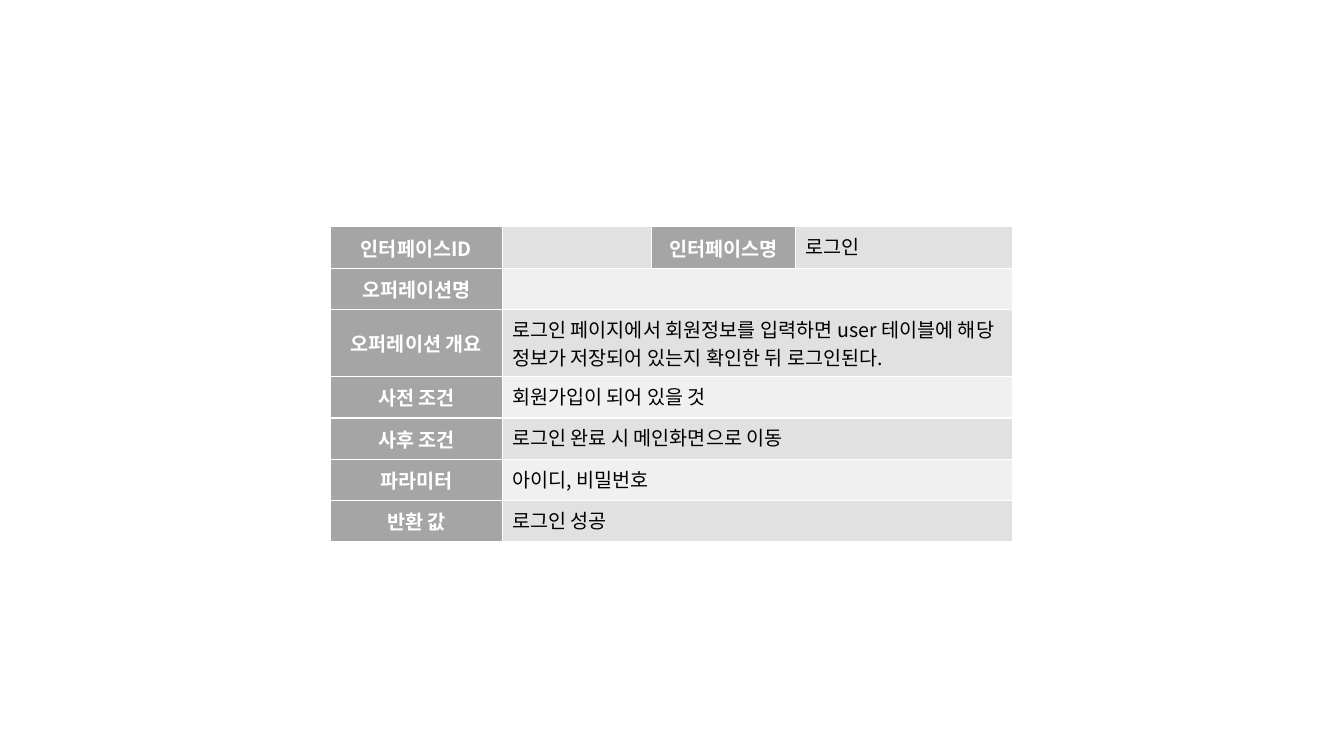
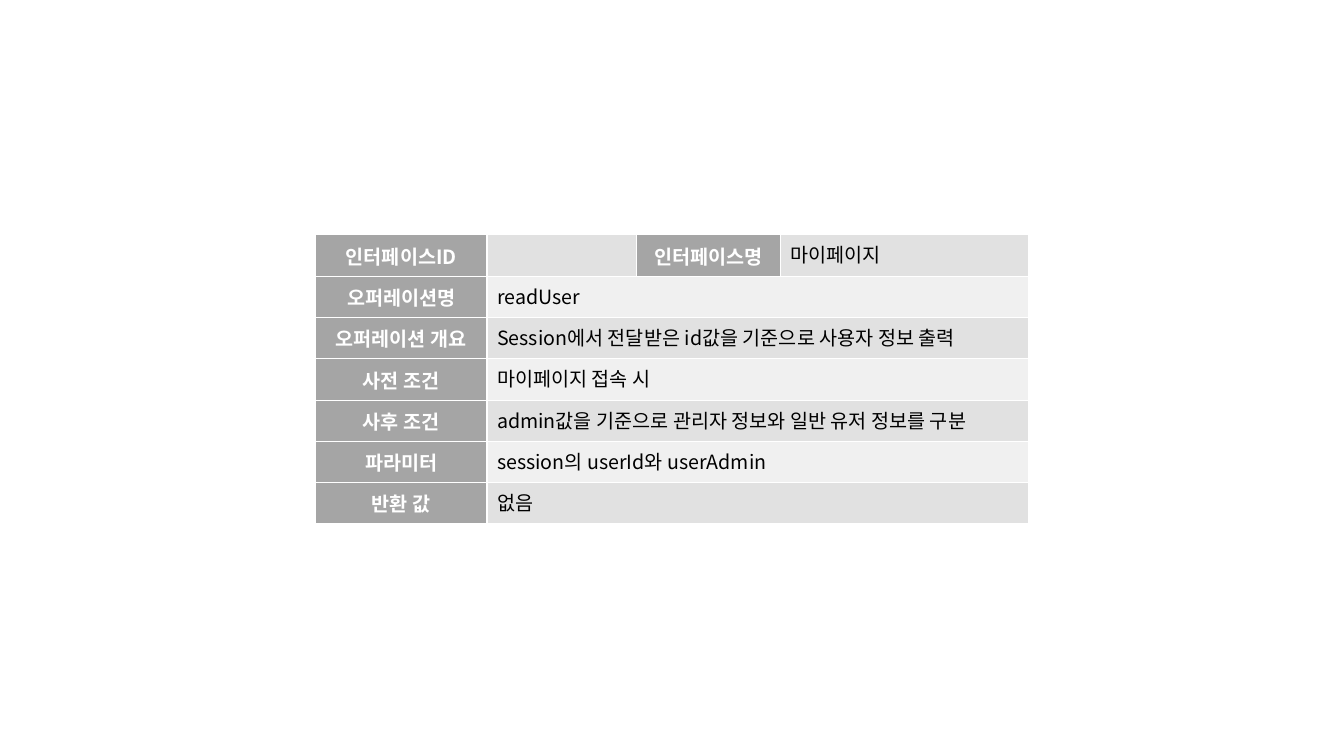
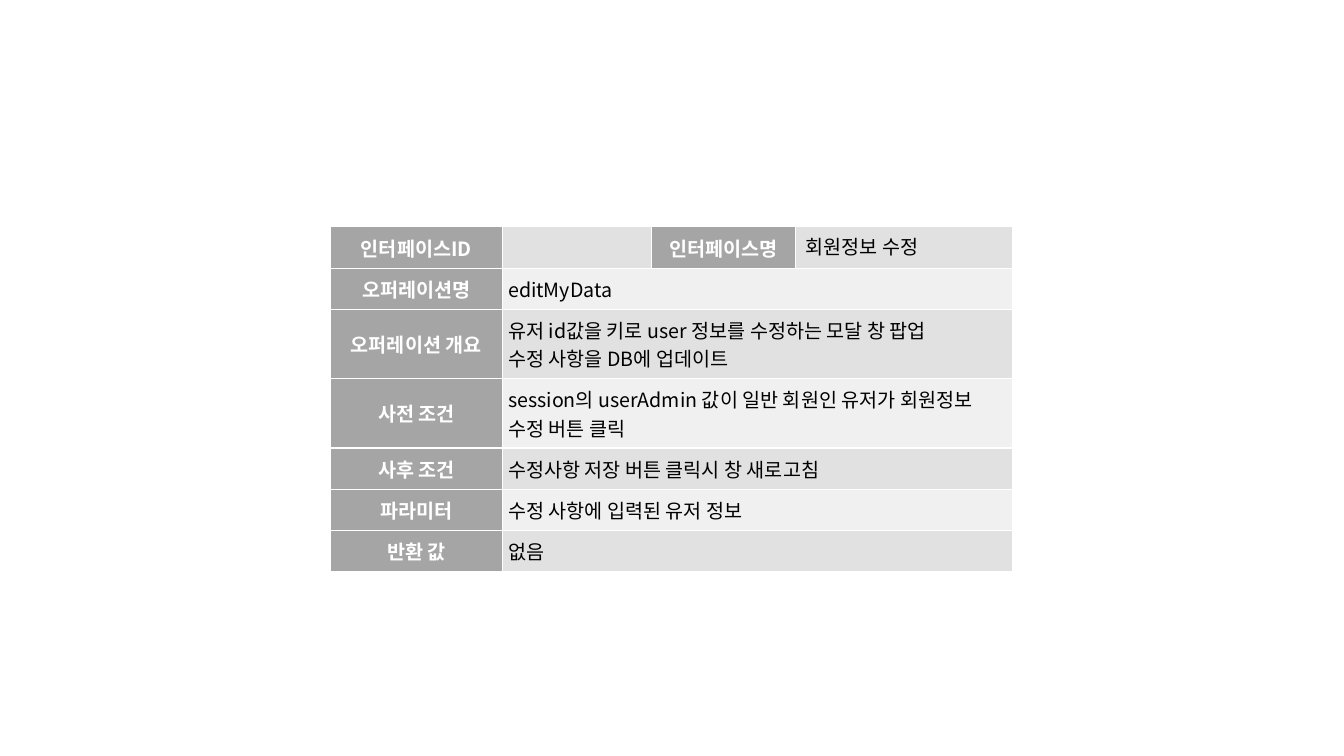
import dataclasses
import typing

import pptx
import pptx.dml.color
import pptx.enum.text
import pptx.oxml
import pptx.oxml.ns
import pptx.table
import pptx.util

Inches = pptx.util.Inches
Pt = pptx.util.Pt

COLOURS: dict[str, str] = {
    "label": "A5A5A5",
    "odd": "E1E1E1",
    "even": "F0F0F0",
    "border": "FFFFFF",
    "label_text": "FFFFFF",
    "text": "000000",
}
FONT = "Noto Sans CJK KR"
TEXT_SIZE = Pt(14)
ROW_HEIGHT = Inches(0.41)
FIRST_COLUMNS = (1.7, 1.48, 1.43)
ID_LABEL = "인터페이스ID"
NAME_LABEL = "인터페이스명"
ROW_LABELS = ("오퍼레이션명", "오퍼레이션 개요", "사전 조건", "사후 조건", "파라미터", "반환 값")


@dataclasses.dataclass(frozen=True)
class Specification:
    """One interface table: its place, name and the values of its rows."""

    left: float
    top: float
    last_column: float
    name: str
    values: tuple[str, ...]
    tight: bool = False  # values centred vertically with narrow margins


SPECIFICATIONS = (
    Specification(3.28, 2.25, 2.15, "로그인", (
        "",
        "로그인 페이지에서 회원정보를 입력하면 user 테이블에 해당 정보가 저장되어 있는지 확인한 뒤 로그인된다.",
        "회원가입이 되어 있을 것",
        "로그인 완료 시 메인화면으로 이동",
        "아이디, 비밀번호",
        "로그인 성공",
    )),
    Specification(3.13, 2.33, 2.46, "마이페이지", (
        "readUser",
        "Session에서 전달받은 id값을 기준으로 사용자 정보 출력",
        "마이페이지 접속 시",
        "admin값을 기준으로 관리자 정보와 일반 유저 정보를 구분",
        "session의 userId와 userAdmin",
        "없음",
    )),
    Specification(3.28, 2.25, 2.15, "회원정보 수정", (
        "editMyData",
        "유저 id값을 키로 user 정보를 수정하는 모달 창 팝업\n수정 사항을 DB에 업데이트",
        "session의 userAdmin 값이 일반 회원인 유저가 회원정보 수정 버튼 클릭",
        "수정사항 저장 버튼 클릭시 창 새로고침",
        "수정 사항에 입력된 유저 정보",
        "없음",
    ), tight=True),
)


def add_child(parent: typing.Any, tag: str, **attributes: str) -> typing.Any:
    child = parent.makeelement(pptx.oxml.ns.qn(tag), attributes)
    parent.append(child)
    return child


def style_cell(cell: pptx.table._Cell, fill: str) -> None:
    """Give a cell its white borders and its fill."""
    properties = cell._tc.get_or_add_tcPr()
    for side in ("a:lnL", "a:lnR", "a:lnT", "a:lnB"):
        line = add_child(properties, side, w=str(Pt(1)))
        add_child(add_child(line, "a:solidFill"), "a:srgbClr", val=COLOURS["border"])
    cell.fill.solid()
    cell.fill.fore_color.rgb = pptx.dml.color.RGBColor.from_string(COLOURS[fill])


def write_text(cell: pptx.table._Cell, text: str, colour: str, bold: bool) -> None:
    para = cell.text_frame.paragraphs[0]
    if not text:
        # An empty cell keeps the row at the common text size
        add_child(para._p, "a:endParaRPr", sz=str(int(TEXT_SIZE.pt * 100)))
        return
    for index, line in enumerate(text.split("\n")):
        if index:
            para.add_line_break()
        span = para.add_run()
        span.text = line
        span.font.name = FONT
        span.font.size = TEXT_SIZE
        span.font.bold = bold
        span.font.color.rgb = pptx.dml.color.RGBColor.from_string(COLOURS[colour])
        add_child(span._r.get_or_add_rPr(), "a:ea", typeface=FONT)


def write_label(cell: pptx.table._Cell, text: str) -> None:
    style_cell(cell, "label")
    write_text(cell, text, "label_text", True)
    cell.vertical_anchor = pptx.enum.text.MSO_ANCHOR.MIDDLE
    cell.text_frame.paragraphs[0].alignment = pptx.enum.text.PP_ALIGN.CENTER


def write_value(cell: pptx.table._Cell, text: str, fill: str, tight: bool = False) -> None:
    style_cell(cell, fill)
    write_text(cell, text, "text", False)
    if tight:
        cell.vertical_anchor = pptx.enum.text.MSO_ANCHOR.MIDDLE
        cell.margin_left = cell.margin_right = Inches(0.06)
        cell.margin_top = cell.margin_bottom = Inches(0.06)


def add_specification(page: typing.Any, item: Specification) -> None:
    widths = (*FIRST_COLUMNS, item.last_column)
    row_count = len(ROW_LABELS) + 1
    table = page.shapes.add_table(
        row_count, len(widths), Inches(item.left), Inches(item.top),
        Inches(sum(widths)), ROW_HEIGHT * row_count,
    ).table
    table.first_row = False
    table.horz_banding = False
    for column, width in zip(table.columns, widths):
        column.width = Inches(width)

    # Heading row: two label and value pairs
    write_label(table.cell(0, 0), ID_LABEL)
    write_value(table.cell(0, 1), "", "odd")
    write_label(table.cell(0, 2), NAME_LABEL)
    write_value(table.cell(0, 3), item.name, "odd")

    # Detail rows: one label and a value across the other columns
    for row, (label, value) in enumerate(zip(ROW_LABELS, item.values), start=1):
        fill = "even" if row % 2 else "odd"
        write_label(table.cell(row, 0), label)
        table.cell(row, 1).merge(table.cell(row, 3))
        write_value(table.cell(row, 1), value, fill, item.tight)
        for column in (2, 3):
            style_cell(table.cell(row, column), fill)


def main() -> None:
    deck = pptx.Presentation()
    deck.slide_width = Inches(13.33)
    deck.slide_height = Inches(7.5)
    blank_layout = deck.slide_layouts[6]
    for item in SPECIFICATIONS:
        add_specification(deck.slides.add_slide(blank_layout), item)
    deck.save("out.pptx")


if __name__ == "__main__":
    main()
